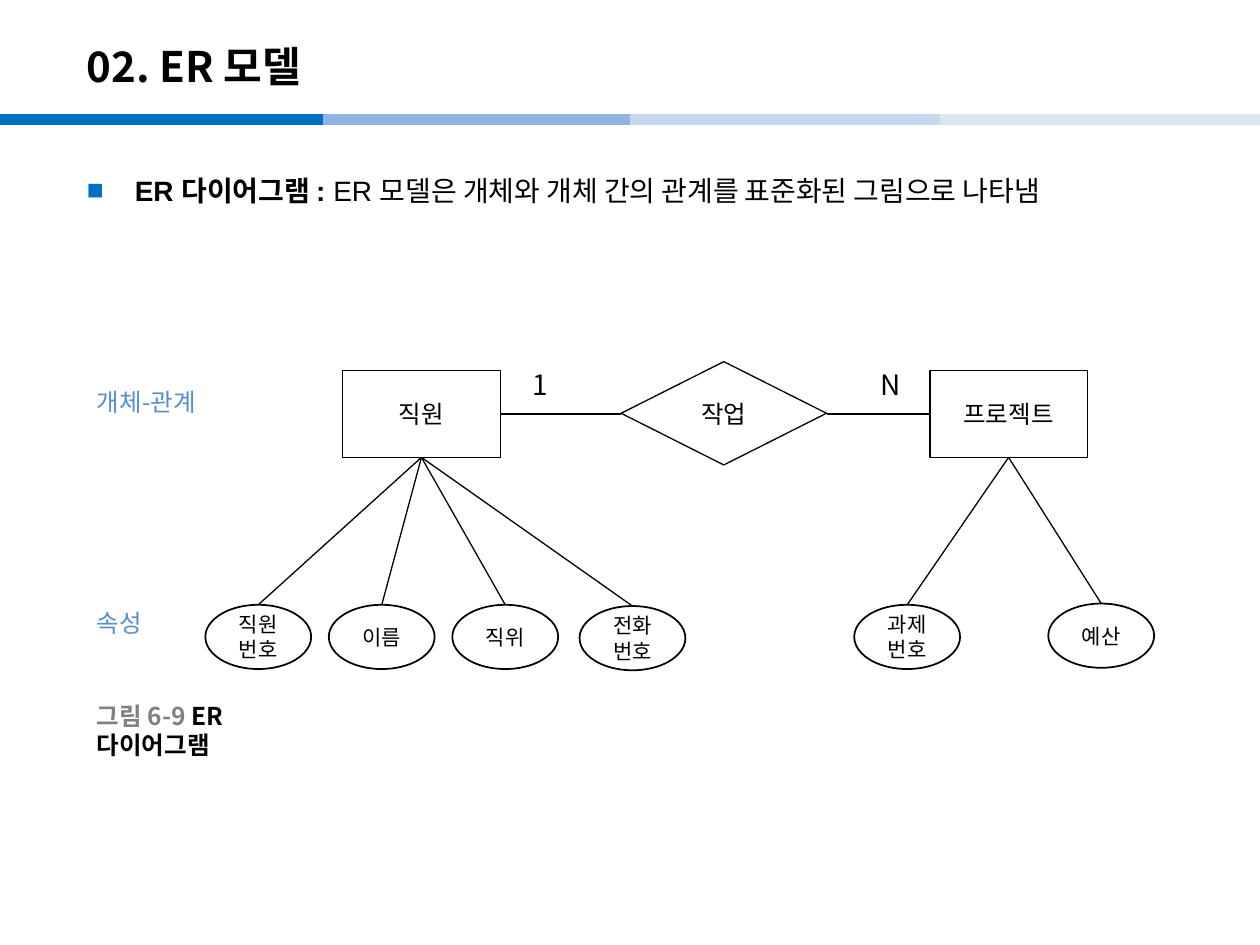
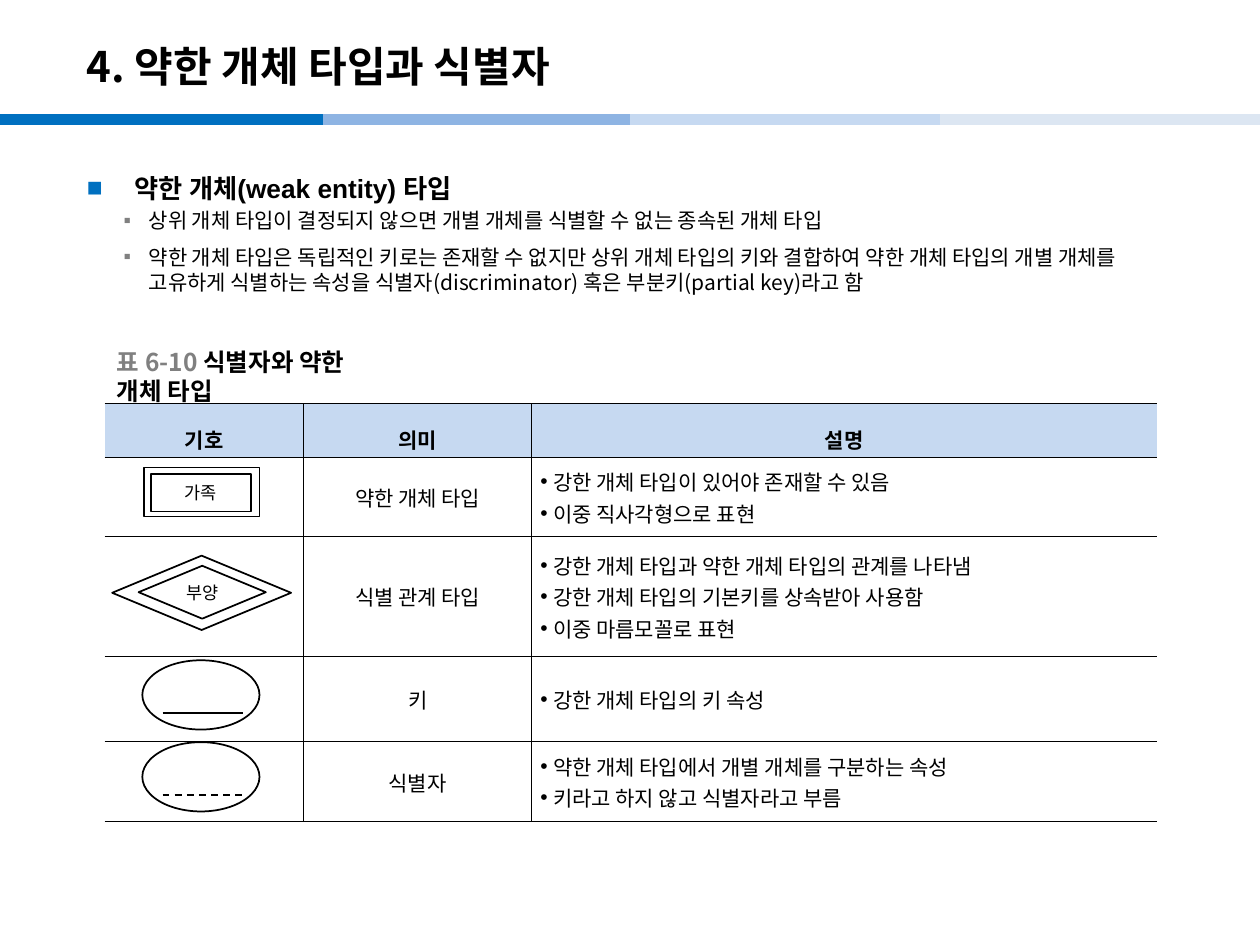
from lxml import etree
from pptx import Presentation
from pptx.dml.color import RGBColor
from pptx.enum.dml import MSO_LINE
from pptx.enum.shapes import MSO_CONNECTOR, MSO_SHAPE
from pptx.enum.text import MSO_ANCHOR, MSO_AUTO_SIZE, PP_ALIGN
from pptx.oxml.ns import qn
from pptx.util import Inches, Pt

COLORS = {
    "black": "000000", "white": "FFFFFF", "gray": "808080", "label": "558ED5",
    "bullet": "0070C0", "header": "C6D9F1",
}
SANS, KOREAN = "Arial", "Noto Sans CJK KR"

BANDS = ["0070C0", "8EB4E3", "C6D9F1", "DCE6F2"]
BAND_EDGES = [0, 2.56, 5, 7.46, 10]
BAND_Y = 0.95

# Each body paragraph: level, size, font, runs of (text, bold)
ER_BODY = [
    (0, 16, SANS, [("ER 다이어그램 : ", True),
                   ("ER 모델은 개체와 개체 간의 관계를 표준화된 그림으로 나타냄", False)]),
]
WEAK_BODY = [
    (0, 15, SANS, [("약한 개체(weak entity) 타입", True)]),
    (1, 12, KOREAN, [("상위 개체 타입이 결정되지 않으면 개별 개체를 식별할 수 없는 "
                      "종속된 개체 타입", False)]),
    (1, 12, KOREAN, [("약한 개체 타입은 독립적인 키로는 존재할 수 없지만 상위 개체 타입의 "
                      "키와 결합하여 약한 개체 타입의 개별 개체를 고유하게 식별하는 속성을 "
                      "식별자(discriminator) 혹은 부분키(partial key)라고 함", False)]),
]
# Level: bullet, colour, left margin, hanging indent, line spacing, before, after
LEVELS = [("■", "bullet", 0.38, 0.38, 1.5, 0, 0),
          ("▪", "gray", 0.49, 0.2, 1.0, 2.4, 4)]

# Entity: name, left, attributes of (name, left, top)
ENTITIES = [
    ("직원", 2.72, [("직원번호", 1.63, 4.8), ("이름", 2.61, 4.8),
                  ("직위", 3.59, 4.8), ("전화번호", 4.6, 4.81)]),
    ("프로젝트", 7.38, [("과제번호", 6.78, 4.8), ("예산", 8.32, 4.79)]),
]
ENTITY_TOP, ENTITY_W, ENTITY_H = 2.94, 1.25, 0.69
ATTR_W, ATTR_H = 0.84, 0.51
RELATION = ("작업", 4.93, 2.87, 1.63, 0.82)
# Label: text, left, top, width, height, size, colour
LABELS = [
    ("1", 4.13, 2.87, 0.33, 0.37, 16, "black"),
    ("N", 6.89, 2.87, 0.37, 0.37, 16, "black"),
    ("개체-관계", 0.67, 3.02, 1.22, 0.34, 14, "label"),
    ("속성", 0.67, 4.78, 0.59, 0.34, 14, "label"),
]

TABLE_LEFT, TABLE_TOP = 0.83, 3.2
COL_WIDTHS = [1.58, 1.81, 4.96]
ROW_HEIGHTS = [0.39, 0.63, 0.95, 0.68, 0.63]
TABLE_HEAD = ["기호", "의미", "설명"]
TABLE_ROWS = [
    ("약한 개체 타입", ["강한 개체 타입이 있어야 존재할 수 있음", "이중 직사각형으로 표현"]),
    ("식별 관계 타입", ["강한 개체 타입과 약한 개체 타입의 관계를 나타냄",
                  "강한 개체 타입의 기본키를 상속받아 사용함", "이중 마름모꼴로 표현"]),
    ("키", ["강한 개체 타입의 키 속성"]),
    ("식별자", ["약한 개체 타입에서 개별 개체를 구분하는 속성", "키라고 하지 않고 식별자라고 부름"]),
]
# Double outline symbols: shape, text, outer box, inner box
DOUBLE_SYMBOLS = [
    (MSO_SHAPE.RECTANGLE, "가족", (1.14, 3.71, 0.92, 0.39), (1.2, 3.76, 0.79, 0.3)),
    (MSO_SHAPE.FLOWCHART_DECISION, "부양", (0.89, 4.41, 1.42, 0.59), (1.1, 4.49, 1.01, 0.42)),
]
# Underlined ellipses: top, dash
KEY_SYMBOLS = [(5.24, None), (5.89, MSO_LINE.DASH)]


def rgb(color):
    return RGBColor.from_string(COLORS.get(color, color))


def box(left, top, width, height):
    return [Inches(v) for v in (left, top, width, height)]


def set_font(p, size, color="black", bold=False, name=KOREAN):
    """Format a paragraph, with the Korean font for East Asian letters."""
    f = p.font
    f.size, f.bold, f.name = Pt(size), bold, name
    f.color.rgb = rgb(color)
    props = p._p.pPr.find(qn("a:defRPr"))
    latin = props.find(qn("a:latin"))
    ea = etree.Element(qn("a:ea"), typeface=KOREAN)
    latin.addnext(ea)


def set_bullet(p, char, left, hanging, color="black"):
    props = p._p.get_or_add_pPr()
    props.set("marL", str(Inches(left)))
    props.set("indent", str(-Inches(hanging)))
    clr = etree.SubElement(props, qn("a:buClr"))
    etree.SubElement(clr, qn("a:srgbClr"), val=COLORS[color])
    etree.SubElement(props, qn("a:buFont"), typeface=SANS)
    etree.SubElement(props, qn("a:buChar"), char=char)


def add_line(shapes, x1, y1, x2, y2, color="black", width=0.75, dash=None):
    c = shapes.add_connector(MSO_CONNECTOR.STRAIGHT, Inches(x1), Inches(y1),
                             Inches(x2), Inches(y2))
    c.line.color.rgb, c.line.width = rgb(color), Pt(width)
    if dash:
        c.line.dash_style = dash
    etree.SubElement(c._element.spPr, qn("a:effectLst"))


def add_outline(shapes, kind, place, text="", size=10, width=1.0):
    """Add a white shape with a black outline and centred text."""
    sp = shapes.add_shape(kind, *box(*place))
    sp.shadow.inherit = False
    sp.fill.solid()
    sp.fill.fore_color.rgb = rgb("white")
    sp.line.color.rgb, sp.line.width = rgb("black"), Pt(width)
    if text:
        tf = sp.text_frame
        tf.vertical_anchor = MSO_ANCHOR.MIDDLE
        p = tf.paragraphs[0]
        p.text, p.alignment = text, PP_ALIGN.CENTER
        set_font(p, size)


def add_label(s, text, left, top, width, height, size, color):
    tf = s.shapes.add_textbox(*box(left, top, width, height)).text_frame
    tf.word_wrap = False
    p = tf.paragraphs[0]
    p.text = text
    set_font(p, size, color)


def add_caption(s, number, text, left, top, width):
    tf = s.shapes.add_textbox(*box(left, top, width, 0.31)).text_frame
    tf.word_wrap, tf.vertical_anchor = False, MSO_ANCHOR.MIDDLE
    p = tf.paragraphs[0]
    set_font(p, 14, bold=True)
    for part, color in [(number + " ", "gray"), (text, "black")]:
        r = p.add_run()
        r.text = part
        r.font.color.rgb = rgb(color)


def place_holder(sp, place):
    sp.left, sp.top, sp.width, sp.height = box(*place)
    tf = sp.text_frame
    tf.auto_size, tf.word_wrap = MSO_AUTO_SIZE.NONE, True
    return tf


def add_base_slide(prs, title, body):
    """Add a slide with the shared colour bands, title and bulleted body."""
    s = prs.slides.add_slide(prs.slide_layouts[1])
    for color, x1, x2 in zip(BANDS, BAND_EDGES, BAND_EDGES[1:]):
        add_line(s.shapes, x1, BAND_Y, x2, BAND_Y, color, 6)

    tf = place_holder(s.shapes.title, (0.59, 0.22, 8.27, 0.6))
    tf.vertical_anchor = MSO_ANCHOR.MIDDLE
    p = tf.paragraphs[0]
    p.text, p.alignment = title, PP_ALIGN.LEFT
    set_font(p, 24, bold=True)

    tf = place_holder(s.placeholders[1], (0.59, 1.19, 8.82, 5.98))
    for i, (level, size, name, runs) in enumerate(body):
        p = tf.add_paragraph() if i else tf.paragraphs[0]
        char, color, left, hanging, spacing, before, after = LEVELS[level]
        p.level = level
        set_bullet(p, char, left, hanging, color)
        p.line_spacing, p.space_before, p.space_after = spacing, Pt(before), Pt(after)
        set_font(p, size, name=name)
        for text, bold in runs:
            r = p.add_run()
            r.text, r.font.bold = text, bold
    return s


def add_er_diagram(s):
    bottom, middle = ENTITY_TOP + ENTITY_H, ENTITY_TOP + ENTITY_H / 2
    name, rel_left, rel_top, rel_w, rel_h = RELATION
    for entity, left, attributes in ENTITIES:
        center = left + ENTITY_W / 2
        for attribute, x, y in attributes:
            add_line(s.shapes, center, bottom, x + ATTR_W / 2, y)
            add_outline(s.shapes, MSO_SHAPE.OVAL, (x, y, ATTR_W, ATTR_H), attribute, 12)
        add_outline(s.shapes, MSO_SHAPE.RECTANGLE,
                    (left, ENTITY_TOP, ENTITY_W, ENTITY_H), entity, 14, 0.75)
    first, second = (left for _, left, _ in ENTITIES)
    add_line(s.shapes, first + ENTITY_W, middle, rel_left, middle)
    add_line(s.shapes, rel_left + rel_w, middle, second, middle)
    add_outline(s.shapes, MSO_SHAPE.DIAMOND, (rel_left, rel_top, rel_w, rel_h), name, 14, 0.75)
    for label in LABELS:
        add_label(s, *label)


def set_borders(cell, col):
    """Rule every side of a cell but the outer left and right."""
    props = cell._tc.get_or_add_tcPr()
    shown = {"lnL": col > 0, "lnR": col < len(COL_WIDTHS) - 1, "lnT": True, "lnB": True}
    for side, visible in shown.items():
        ln = etree.SubElement(props, qn("a:" + side), w=str(Pt(0.28)))
        if visible:
            fill = etree.SubElement(ln, qn("a:solidFill"))
            etree.SubElement(fill, qn("a:srgbClr"), val=COLORS["black"])
        else:
            etree.SubElement(ln, qn("a:noFill"))


def fill_cell(cell, col, lines, header, bulleted):
    set_borders(cell, col)
    cell.fill.solid()
    cell.fill.fore_color.rgb = rgb("header" if header else "white")
    cell.vertical_anchor = MSO_ANCHOR.MIDDLE
    cell.margin_left = cell.margin_right = Inches(0.07)
    cell.margin_top = cell.margin_bottom = Inches(0.02)
    for i, line in enumerate(lines):
        p = cell.text_frame.add_paragraph() if i else cell.text_frame.paragraphs[0]
        p.text = line
        if bulleted:
            set_bullet(p, "•", 0.1, 0.1)
        else:
            p.alignment = PP_ALIGN.CENTER
        p.line_spacing = 1.6 if header else Pt(18)
        set_font(p, 12, bold=header, name=SANS)


def add_symbol_table(s):
    table = s.shapes.add_table(
        len(ROW_HEIGHTS), len(COL_WIDTHS),
        *box(TABLE_LEFT, TABLE_TOP, sum(COL_WIDTHS), sum(ROW_HEIGHTS))).table
    table.first_row = table.horz_banding = False
    for column, width in zip(table.columns, COL_WIDTHS):
        column.width = Inches(width)
    for row, height in zip(table.rows, ROW_HEIGHTS):
        row.height = Inches(height)
    rows = [[[h] for h in TABLE_HEAD]] + [[[], [m], notes] for m, notes in TABLE_ROWS]
    for i, row in enumerate(rows):
        for j, lines in enumerate(row):
            fill_cell(table.cell(i, j), j, lines, i == 0, i > 0 and j == 2)


def add_symbols(s):
    for kind, text, outer, inner in DOUBLE_SYMBOLS:
        shapes = s.shapes.add_group_shape().shapes
        add_outline(shapes, kind, outer)
        add_outline(shapes, kind, inner, text)
    for top, dash in KEY_SYMBOLS:
        shapes = s.shapes.add_group_shape().shapes
        add_outline(shapes, MSO_SHAPE.OVAL, (1.13, top, 0.93, 0.55))
        add_line(shapes, 1.29, top + 0.42, 1.93, top + 0.42, width=1, dash=dash)


def main():
    prs = Presentation()
    prs.slide_width, prs.slide_height = Inches(10), Inches(7.5)

    s = add_base_slide(prs, "02. ER 모델", ER_BODY)
    add_er_diagram(s)
    add_caption(s, "그림 6-9", "ER 다이어그램", 0.67, 5.64, 2.05)

    s = add_base_slide(prs, "4. 약한 개체 타입과 식별자", WEAK_BODY)
    add_symbol_table(s)
    add_caption(s, "표 6-10", "식별자와 약한 개체 타입", 0.83, 2.83, 2.09)
    add_symbols(s)

    prs.save("out.pptx")


if __name__ == "__main__":
    main()
